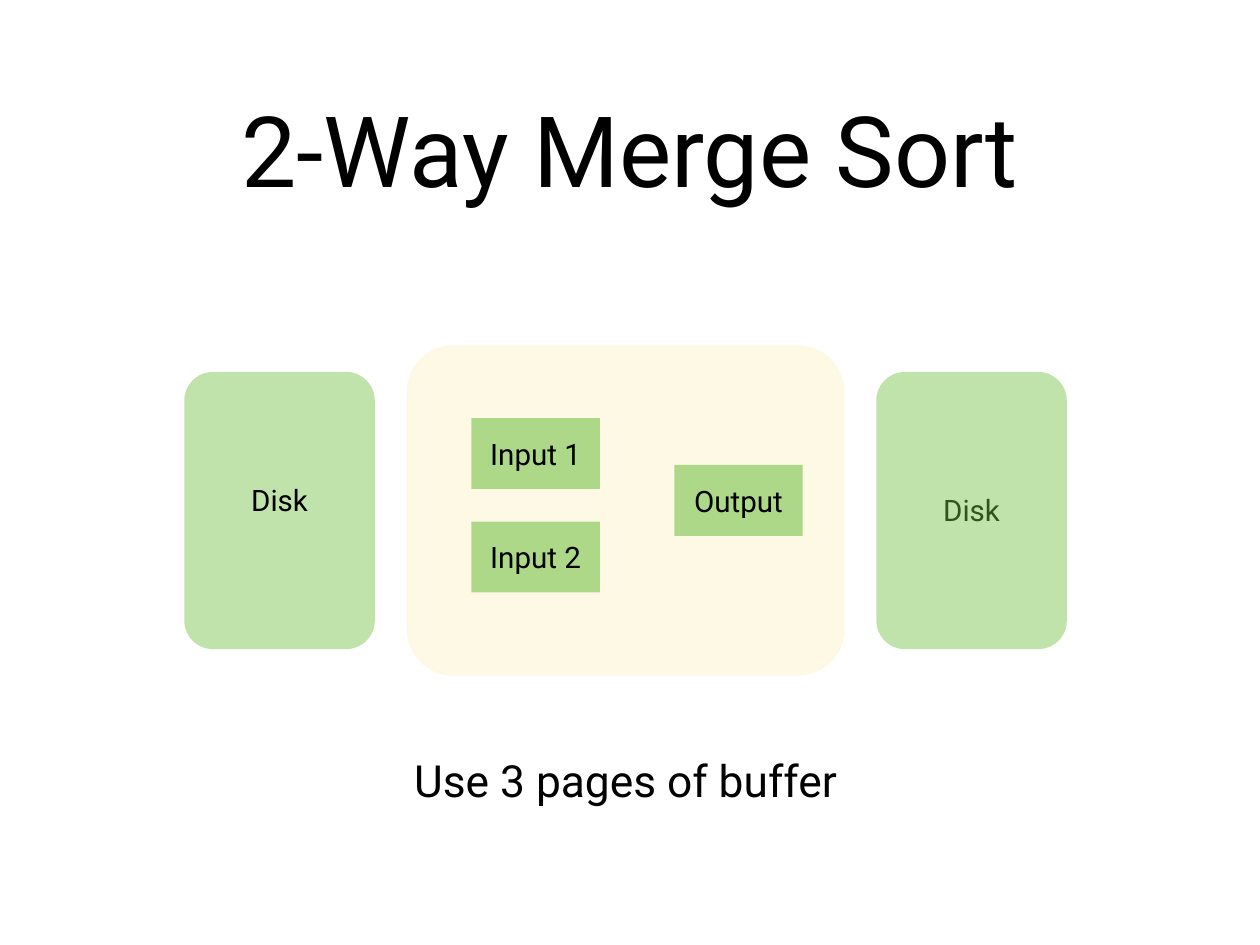
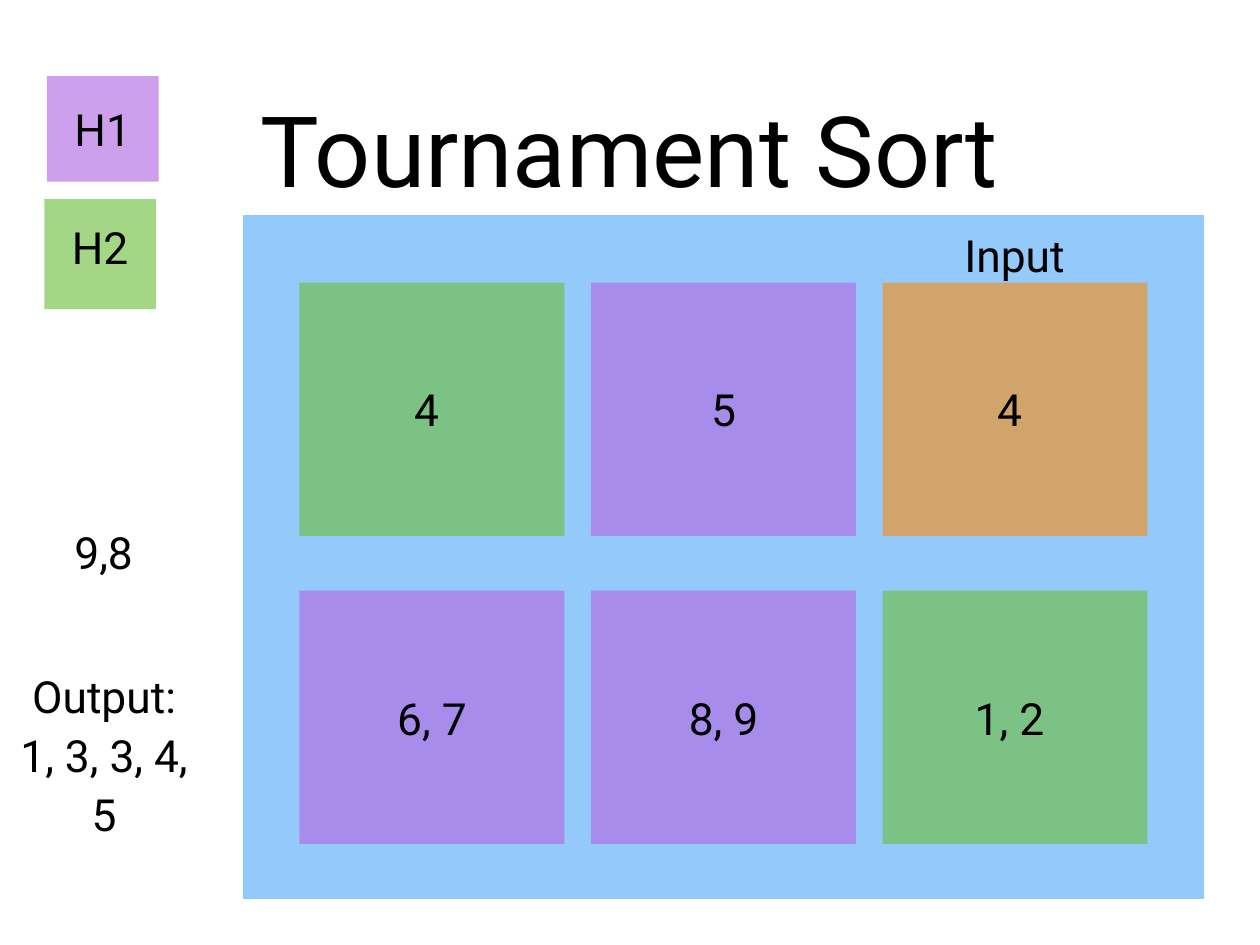
from pptx import Presentation
from pptx.dml.color import RGBColor
from pptx.enum.shapes import MSO_SHAPE as Form
from pptx.enum.text import MSO_ANCHOR as Anchor, MSO_AUTO_SIZE as Fit, PP_ALIGN as Align
from pptx.oxml.ns import qn
from pptx.oxml.xmlchemy import OxmlElement as Node
from pptx.util import Inches, Pt

FONT = "Roboto"
COLORS = {"text": "000000", "green": "70BF41", "cream": "F5D328",
          "blue": "51A7F9", "purple": "B36AE2", "orange": "F39019"}
PAD = 0.06


class Deck:
    """Holds the shared style and the current slide."""

    def __init__(self):
        self.prs = Presentation()
        self.prs.slide_width = Inches(14.22)
        self.prs.slide_height = Inches(10.67)

    def letter(self, shape, text, size, pad=PAD, lift=0, wrap=False, gap=0):
        frame = shape.text_frame
        frame.text = text
        frame.word_wrap = wrap
        frame.auto_size = Fit.NONE
        frame.vertical_anchor = Anchor.MIDDLE
        frame.margin_left = frame.margin_right = frame.margin_top = Inches(pad)
        frame.margin_bottom = Inches(pad + 2 * lift)
        for i, para in enumerate(frame.paragraphs):
            para.alignment = Align.CENTER
            para.space_before = Pt(gap if i else 0)
            para.font.name = FONT
            para.font.size = Pt(size)
            para.font.bold = False
            para.font.color.rgb = RGBColor.from_string(COLORS["text"])

    def slide(self, title):
        self.page = self.prs.slides.add_slide(self.prs.slide_layouts[5])
        head = self.page.shapes.title
        head.left, head.top = Inches(1.04), Inches(0.49)
        head.width, head.height = Inches(12.14), Inches(2.36)
        self.letter(head, title, 80, pad=0, wrap=True)

    def box(self, x, y, w, h, color, alpha, text="", size=36, lift=0, curve=None):
        form = Form.RECTANGLE if curve is None else Form.ROUNDED_RECTANGLE
        shape = self.page.shapes.add_shape(form, Inches(x), Inches(y), Inches(w), Inches(h))
        if curve is not None:
            shape.adjustments[0] = curve
        shape.shadow.inherit = False
        shape.line.fill.background()
        shape.fill.solid()
        shape.fill.fore_color.rgb = RGBColor.from_string(COLORS[color])
        # Transparency of the fill
        node = Node("a:alpha")
        node.set("val", str(alpha * 1000))
        shape.element.spPr.find(".//" + qn("a:srgbClr")).append(node)
        if text:
            self.letter(shape, text, size, lift=lift)

    def label(self, x, y, w, h, text, size=36, gap=0):
        shape = self.page.shapes.add_textbox(Inches(x), Inches(y), Inches(w), Inches(h))
        self.letter(shape, text, size, gap=gap)


def merge(deck):
    deck.slide("2-Way Merge Sort")

    # Disks on both sides of the buffer; the right one covers its label
    disk = {"y": 4.2, "w": 2.15, "h": 3.13, "color": "green", "alpha": 44, "curve": 0.15}
    deck.box(x=2.08, text="Disk", size=24, lift=0.12, **disk)
    deck.label(10.58, 5.5, 0.77, 0.51, "Disk", 24)
    deck.box(x=9.89, **disk)

    # Buffer with its three pages
    deck.box(4.59, 3.9, 4.94, 3.73, "cream", 12, curve=0.14)
    for x, y, text in ((5.32, 4.72, "Input 1"), (5.32, 5.89, "Input 2"), (7.61, 5.25, "Output")):
        deck.box(x, y, 1.45, 0.8, "green", 56, text, 24)

    deck.label(4.57, 8.45, 4.98, 0.71, "Use 3 pages of buffer")


def tourney(deck):
    deck.slide("Tournament Sort")

    # Memory grid
    deck.box(2.74, 2.43, 10.85, 7.72, "blue", 61)
    grid = ((("4 ", "green"), ("5", "purple"), ("4 ", "orange")),
            (("6, 7", "purple"), ("8, 9", "purple"), ("1, 2 ", "green")))
    for r, row in enumerate(grid):
        for c, (text, color) in enumerate(row):
            deck.box(3.38 + 3.29 * c, 3.19 + 3.48 * r, 2.99, 2.86, color, 64, text)
    deck.label(10.82, 2.52, 1.26, 0.71, "Input")

    # Heap key
    deck.box(0.53, 0.86, 1.26, 1.19, "purple", 64, "H1")
    deck.box(0.5, 2.25, 1.26, 1.24, "green", 64, "H2", lift=0.08)

    # Values waiting and sorted
    deck.label(0.76, 5.88, 0.82, 0.71, "9,8")
    deck.label(0.07, 7.52, 2.21, 2.01, "Output:\n1, 3, 3, 4,\n5", gap=4.6)


def main():
    deck = Deck()
    merge(deck)
    tourney(deck)
    deck.prs.save("out.pptx")


if __name__ == "__main__":
    main()
